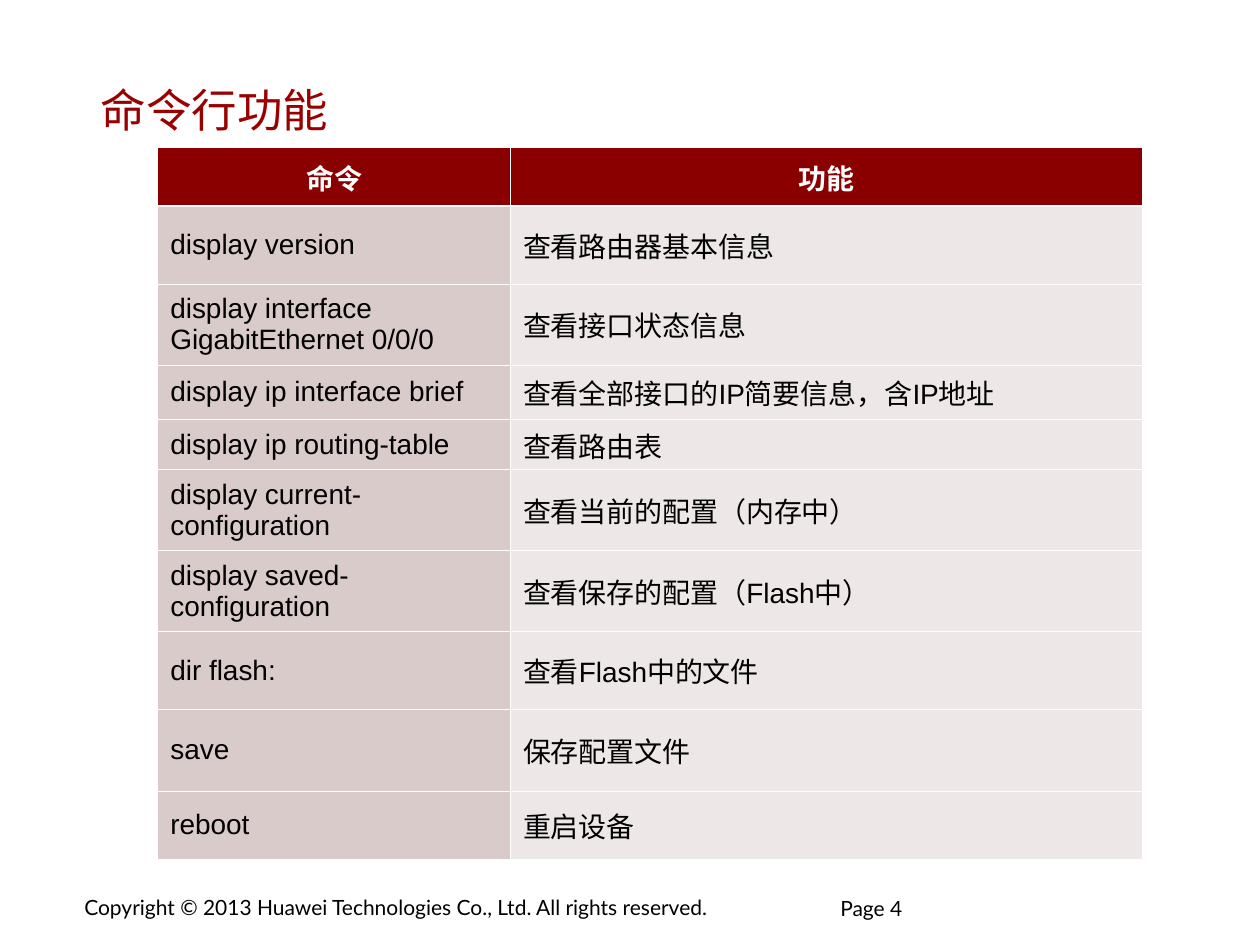
"""Build the slide that lists command line functions in a table."""
from pptx import Presentation
from pptx.dml.color import RGBColor
from pptx.enum.text import MSO_ANCHOR, MSO_AUTO_SIZE, PP_ALIGN
from pptx.oxml import parse_xml
from pptx.oxml.ns import nsdecls
from pptx.util import Cm, Pt

WHITE = RGBColor(0xFF, 0xFF, 0xFF)
BLACK = RGBColor(0x00, 0x00, 0x00)
TITLE_RED = RGBColor(0x99, 0x00, 0x00)
HEADER_RED = RGBColor(0x8A, 0x00, 0x00)
COMMAND_FILL = RGBColor(0xDA, 0xCB, 0xCB)
FUNCTION_FILL = RGBColor(0xED, 0xE7, 0xE7)

ROWS = [
    (1.19, "命令", "功能"),
    (1.57, "display version", "查看路由器基本信息"),
    (1.63, "display interface GigabitEthernet 0/0/0", "查看接口状态信息"),
    (1.09, "display ip interface brief", "查看全部接口的IP简要信息，含IP地址"),
    (1.02, "display ip routing-table", "查看路由表"),
    (1.63, "display current-configuration", "查看当前的配置（内存中）"),
    (1.63, "display saved-configuration", "查看保存的配置（Flash中）"),
    (1.57, "dir flash:", "查看Flash中的文件"),
    (1.65, "save", "保存配置文件"),
    (1.37, "reboot", "重启设备"),
]


def write(frame, text, size, font, color, align=PP_ALIGN.LEFT, bold=False):
    paragraph = frame.paragraphs[0]
    paragraph.alignment = align
    span = paragraph.add_run()
    span.text = text
    span.font.size = Pt(size)
    span.font.name = font
    span.font.bold = bold
    span.font.color.rgb = color
    return paragraph


def add_border(cell, side, width):
    cell._tc.get_or_add_tcPr().append(parse_xml(
        f'<a:{side} {nsdecls("a")} w="{int(Pt(width))}"><a:solidFill>'
        f'<a:srgbClr val="{WHITE}"/></a:solidFill></a:{side}>'))


deck = Presentation()
deck.slide_width, deck.slide_height = Cm(25.4), Cm(19.05)
page = deck.slides.add_slide(deck.slide_layouts[5])

title = page.shapes.title
title.left, title.top, title.width, title.height = Cm(1.78), Cm(0.99), Cm(21.46), Cm(2.41)
title.text_frame.auto_size = MSO_AUTO_SIZE.NONE
title.text_frame.vertical_anchor = MSO_ANCHOR.MIDDLE
write(title.text_frame, "命令行功能", 26, "Arial", TITLE_RED)

copyright_box = page.shapes.add_textbox(Cm(1.45), Cm(17.93), Cm(14.15), Cm(0.74))
copyright_box.text_frame.margin_top = copyright_box.text_frame.margin_bottom = Cm(0.11)
copyright_box.text_frame.word_wrap = False
write(copyright_box.text_frame,
      "Copyright © 2013 Huawei Technologies Co., Ltd. All rights reserved.",
      12, "Lato", BLACK)

number_box = page.shapes.add_textbox(Cm(16.94), Cm(18.14), Cm(4.22), Cm(0.91))
frame = number_box.text_frame
frame.margin_left = frame.margin_top = frame.margin_right = frame.margin_bottom = 0
frame.word_wrap = True
write(frame, "Page 4", 12, "Lato", BLACK).line_spacing = 0.85

table = page.shapes.add_table(
    len(ROWS), 2, Cm(3.18), Cm(2.97), Cm(19.84), Cm(14.35)).table
table.columns[0].width, table.columns[1].width = Cm(7.11), Cm(12.73)

for row_index, (height, *texts) in enumerate(ROWS):
    table.rows[row_index].height = Cm(height)
    is_header = row_index == 0
    for column_index, text in enumerate(texts):
        cell = table.cell(row_index, column_index)
        cell.vertical_anchor = MSO_ANCHOR.MIDDLE
        add_border(cell, "lnL", 0.45)
        add_border(cell, "lnR", 0.45)
        add_border(cell, "lnT", 1.47 if row_index == 1 else 0.45)
        add_border(cell, "lnB", 1.47 if is_header else 0.45)
        cell.fill.solid()
        if is_header:
            cell.fill.fore_color.rgb = HEADER_RED
            write(cell.text_frame, text, 16, "Lato", WHITE, PP_ALIGN.CENTER, True)
        else:
            cell.fill.fore_color.rgb = (COMMAND_FILL, FUNCTION_FILL)[column_index]
            write(cell.text_frame, text, 16, "Arial", BLACK)

deck.save("out.pptx")
